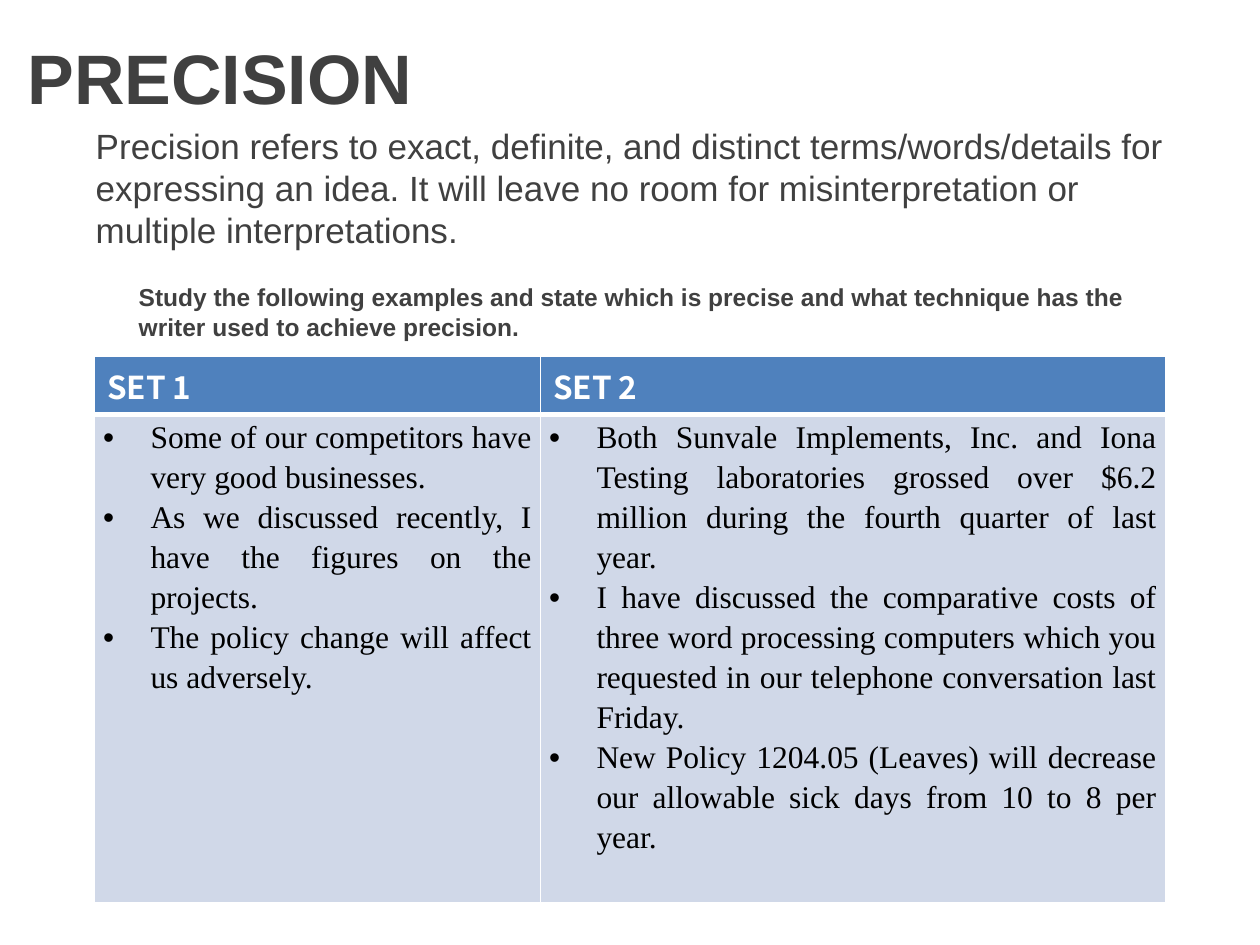
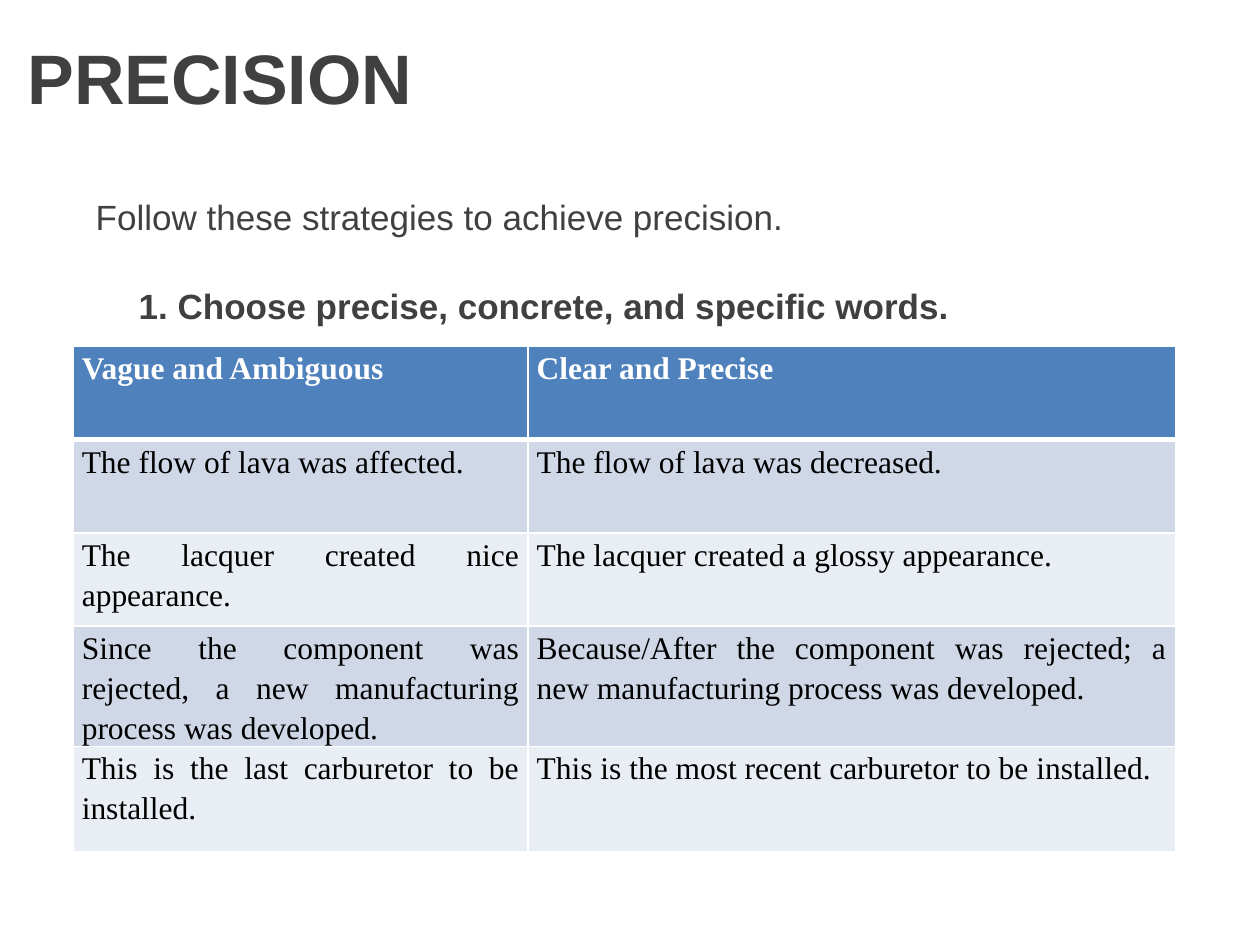
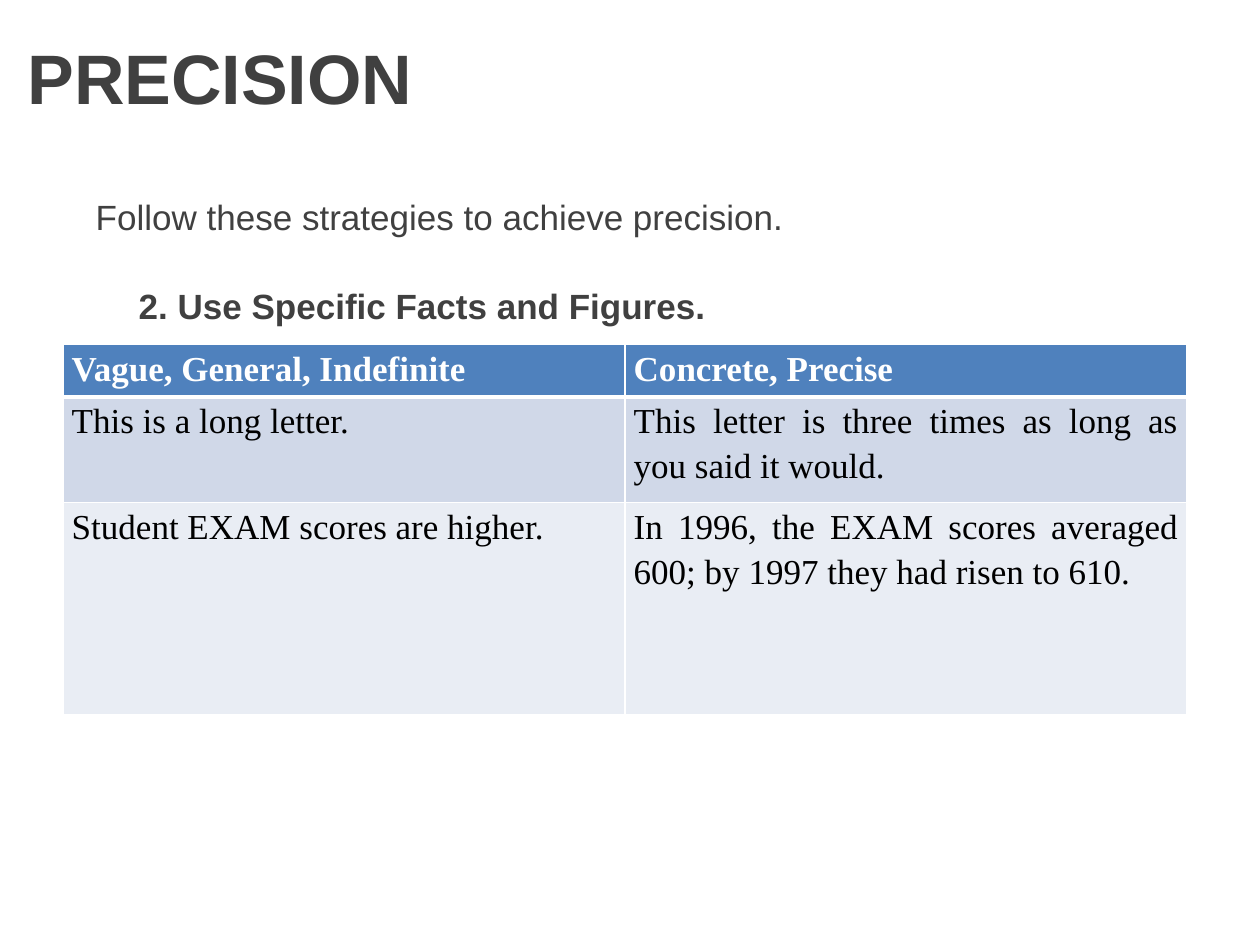
from dataclasses import dataclass

from lxml.etree import SubElement
from pptx import Presentation
from pptx.dml.color import RGBColor
from pptx.enum.text import MSO_ANCHOR, MSO_AUTO_SIZE, PP_ALIGN
from pptx.oxml.ns import qn
from pptx.util import Pt


@dataclass(frozen=True)
class Theme:
    """Colours, fonts, type sizes and table measures shared by the slides."""
    heading: str = "404040"
    white: str = "FFFFFF"
    black: str = "000000"
    header_fill: str = "4F81BD"
    bands: tuple = ("D0D8E8", "E9EDF4")
    sans: str = "Arial"
    serif: str = "Times New Roman"
    set_label: str = "Noto Sans CJK KR"
    title_size: float = 40
    text_size: float = 20
    table_size: float = 18
    note_size: float = 14
    line_spacing: float = 1.15
    bullet_indent: float = 27
    thin_border: float = 1
    thick_border: float = 3


@dataclass(frozen=True)
class Box:
    """A region of a slide, in points."""
    left: float
    top: float
    width: float
    height: float


THEME = Theme()
TITLE_BOX = Box(8.64, 1.44, 711.36, 84.24)
TEXT_LEFT, TEXT_WIDTH = 47.52, 636.48
INTRO_BOTTOM, POINT_BOTTOM = 141.84, 442.8
CELL_MARGINS = dict(margin_left=Pt(5), margin_right=Pt(5), margin_top=0, margin_bottom=0)


def apply_format(target, values):
    """Set every attribute named in a dict of format values."""
    for name, value in values.items():
        setattr(target, name, value)


def format_font(font, name, size, color, bold):
    """Set the typeface, size, weight and colour of a font."""
    apply_format(font, dict(name=name, size=Pt(size), bold=bold))
    font.color.rgb = RGBColor.from_string(color)


def fill_placeholder(shape, box, text, size, bold, **frame_format):
    """Move a placeholder to its box and give it one left-aligned paragraph."""
    for name in ("left", "top", "width", "height"):
        setattr(shape, name, Pt(getattr(box, name)))
    frame = shape.text_frame
    frame.text = text
    apply_format(frame, dict(auto_size=MSO_AUTO_SIZE.NONE, word_wrap=True, **frame_format))
    paragraph = frame.paragraphs[0]
    paragraph.alignment = PP_ALIGN.LEFT
    format_font(paragraph.runs[0].font, THEME.sans, size, THEME.heading, bold)


def add_bullet(paragraph):
    """Give a paragraph a round bullet and a hanging indent."""
    properties = paragraph._p.get_or_add_pPr()
    properties.set("marL", str(Pt(THEME.bullet_indent)))
    properties.set("indent", str(-Pt(THEME.bullet_indent)))
    SubElement(properties, qn("a:buFont"), typeface="Arial")
    SubElement(properties, qn("a:buChar"), char="•")


def add_borders(cell, bottom):
    """Draw white borders round a cell, the lower one in its own width."""
    properties = cell._tc.get_or_add_tcPr()
    for side in "LRTB":
        width = bottom if side == "B" else THEME.thin_border
        line = SubElement(properties, qn(f"a:ln{side}"), w=str(Pt(width)))
        fill = SubElement(line, qn("a:solidFill"))
        SubElement(fill, qn("a:srgbClr"), val=THEME.white)


def fill_cell(cell, content, header, font_name, size, justified=True):
    """Write a cell; a list of texts becomes a bulleted list."""
    add_borders(cell, THEME.thick_border if header else THEME.thin_border)
    bulleted = isinstance(content, list)
    texts = content if bulleted else [content]
    frame = cell.text_frame
    for index, text in enumerate(texts):
        paragraph = frame.add_paragraph() if index else frame.paragraphs[0]
        paragraph.text = text
        if justified:
            apply_format(paragraph, dict(alignment=PP_ALIGN.JUSTIFY,
                                         line_spacing=THEME.line_spacing))
        if bulleted:
            add_bullet(paragraph)
        for run in paragraph.runs:
            format_font(run.font, font_name, size,
                        THEME.white if header else THEME.black, header)
    if justified:
        apply_format(cell, CELL_MARGINS)


def add_comparison_table(slide, left, top, widths, heights, rows, size, labelled=False):
    """Add a header row and banded rows; labelled headers are plain set names."""
    table = slide.shapes.add_table(
        len(heights), len(widths), Pt(left), Pt(top), Pt(sum(widths)), Pt(sum(heights))).table
    table.horz_banding = False
    for column, width in zip(table.columns, widths):
        column.width = Pt(width)
    for row_index, (row, height, contents) in enumerate(zip(table.rows, heights, rows)):
        row.height = Pt(height)
        header = row_index == 0
        plain = header and labelled
        color = THEME.header_fill if header else THEME.bands[(row_index - 1) % 2]
        for cell, content in zip(row.cells, contents):
            fill_cell(cell, content, header, THEME.set_label if plain else THEME.serif,
                      size, justified=not plain)
            cell.fill.solid()
            cell.fill.fore_color.rgb = RGBColor.from_string(color)


def add_precision_slide(presentation, intro, intro_top, point, point_top,
                        point_size=THEME.text_size, point_margin=3.6):
    """Add a slide with the title, an introduction and a bold point."""
    slide = presentation.slides.add_slide(presentation.slide_layouts.get_by_name("Comparison"))
    holders = {shape.placeholder_format.idx: shape for shape in slide.placeholders}
    fill_placeholder(holders[0], TITLE_BOX, "PRECISION", THEME.title_size, True,
                     vertical_anchor=MSO_ANCHOR.MIDDLE)
    fill_placeholder(holders[1], Box(TEXT_LEFT, intro_top, TEXT_WIDTH, INTRO_BOTTOM - intro_top),
                     intro, THEME.text_size, False, vertical_anchor=MSO_ANCHOR.MIDDLE)
    fill_placeholder(holders[3], Box(TEXT_LEFT + 0.72, point_top, TEXT_WIDTH,
                                     POINT_BOTTOM - point_top),
                     point, point_size, True, vertical_anchor=MSO_ANCHOR.TOP,
                     margin_left=Pt(31), margin_top=Pt(point_margin))
    for index in (2, 4):
        element = holders[index].element
        element.getparent().remove(element)
    return slide


def add_definition_slide(presentation):
    """Define precision and compare two sets of examples."""
    slide = add_precision_slide(
        presentation,
        "Precision refers to exact, definite, and distinct terms/words/details for expressing "
        "an idea. It will leave no room for misinterpretation or multiple interpretations.", 72,
        "Study the following examples and state which is precise and what technique has the "
        "writer used to achieve precision.", 138.24, THEME.note_size, 23)
    vague = ["Some of our competitors have very good businesses.",
             "As we discussed recently, I\vhave the figures on the\vprojects.",
             "The policy change will affect us adversely."]
    precise = ["Both Sunvale Implements, Inc. and Iona\vTesting laboratories grossed over "
               "$6.2 million during the fourth quarter of last year.",
               "I have discussed the comparative costs of\vthree word processing computers "
               "which you requested in our telephone conversation last Friday.",
               "New Policy 1204.05 (Leaves) will decrease our allowable sick days from 10 to "
               "8 per\vyear."]
    add_comparison_table(slide, 54, 203.76, (254.88, 357.12), (29.52, 278.64),
                         [("SET 1", "SET 2"), (vague, precise)], THEME.table_size, labelled=True)


def add_strategy_slide(presentation, point, **table_format):
    """Show one strategy and its table of vague and precise wordings."""
    slide = add_precision_slide(
        presentation, "Follow these strategies to achieve precision.", 105.84, point, 159.12)
    add_comparison_table(slide, **table_format)


def main():
    """Build and save the three slides."""
    presentation = Presentation()
    apply_format(presentation, dict(slide_width=Pt(720), slide_height=Pt(540)))
    add_definition_slide(presentation)
    add_strategy_slide(
        presentation, "1. Choose precise, concrete, and specific words.",
        left=41.76, top=198, widths=(259.92, 370.08), heights=(53.28,) * 3 + (60.48,) * 2,
        size=THEME.table_size,
        rows=[("Vague and Ambiguous", "Clear and Precise"),
              ("The flow of lava was affected.", "The flow of lava was decreased."),
              ("The lacquer created nice\vappearance.",
               "The lacquer created a glossy appearance."),
              ("Since the component was\vrejected, a new manufacturing process was developed.",
               "Because/After the component was rejected; a\vnew manufacturing process "
               "was developed."),
              ("This is the last carburetor to be\vinstalled.",
               "This is the most recent carburetor to be installed.")])
    add_strategy_slide(
        presentation, "2. Use Specific Facts and Figures.",
        left=36, top=196.56, widths=(321.12,) * 2, heights=(30.24, 60.48, 120.96),
        size=THEME.text_size,
        rows=[("Vague, General, Indefinite", "Concrete, Precise"),
              ("This is a long letter.",
               "This letter is three times as long as\vyou said it would."),
              ("Student EXAM scores are higher.",
               "In 1996, the EXAM scores averaged\v600; by 1997 they had risen to 610.")])
    presentation.save("out.pptx")


main()
